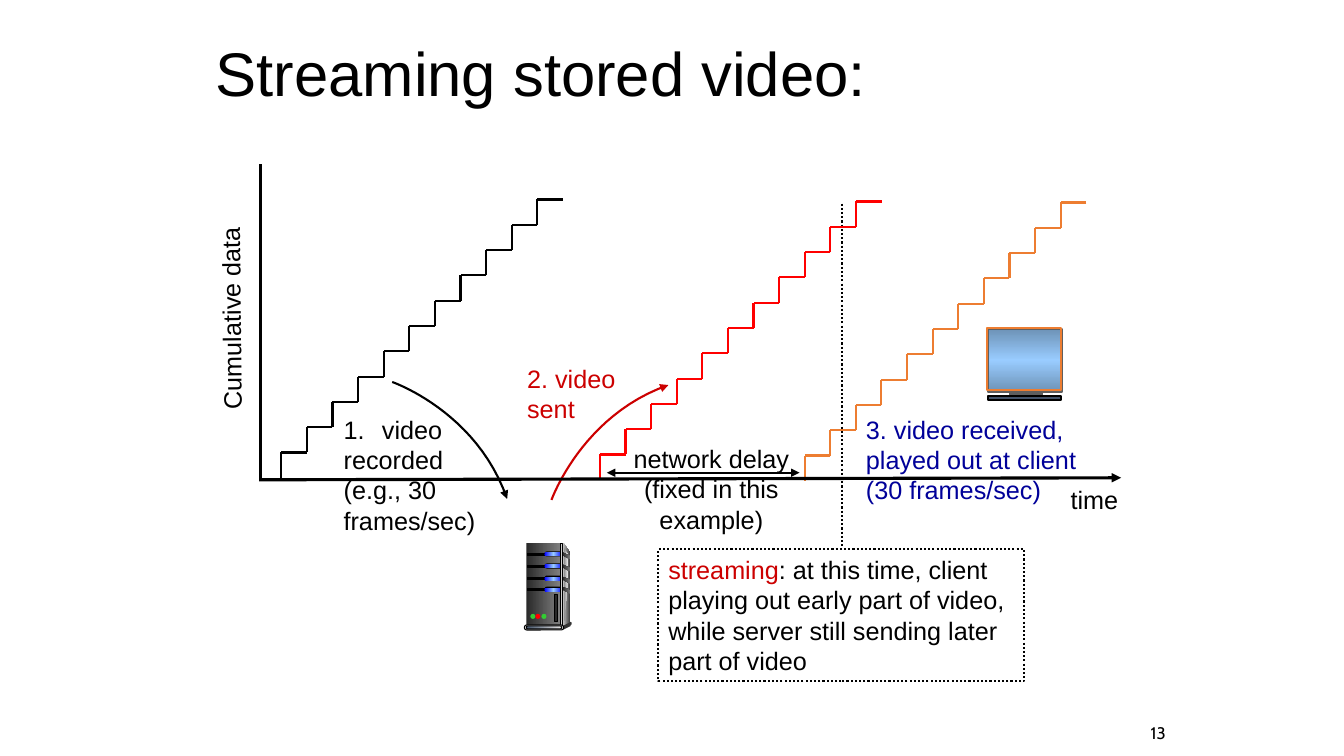
from copy import deepcopy
from lxml.etree import SubElement
from pptx import Presentation
from pptx.dml.color import RGBColor
from pptx.enum.dml import MSO_LINE
from pptx.enum.shapes import MSO_CONNECTOR, MSO_SHAPE
from pptx.enum.text import MSO_ANCHOR, PP_ALIGN
from pptx.oxml.ns import qn
from pptx.util import Inches, Pt

BLACK = RGBColor(0x00, 0x00, 0x00)
WHITE = RGBColor(0xFF, 0xFF, 0xFF)
RED = RGBColor(0xFF, 0x00, 0x00)
BRICK = RGBColor(0xCC, 0x00, 0x00)
ORANGE = RGBColor(0xED, 0x7D, 0x31)
NAVY = RGBColor(0x00, 0x00, 0x99)
BLUE = RGBColor(0x00, 0x00, 0xFF)
SKY = RGBColor(0x99, 0xCC, 0xFF)
STEEL = RGBColor(0x6D, 0x92, 0xB6)
SLATE = RGBColor(0x44, 0x54, 0x6A)
GREEN = RGBColor(0x33, 0xCC, 0x33)
INK = RGBColor(0x29, 0x29, 0x29)
COAL = RGBColor(0x33, 0x33, 0x33)
ASH = RGBColor(0x5F, 0x5F, 0x5F)
GREY = RGBColor(0x80, 0x80, 0x80)
SILVER = RGBColor(0xDD, 0xDD, 0xDD)
PALE = RGBColor(0xE7, 0xE6, 0xE6)
FROST = RGBColor(0xF8, 0xF8, 0xF8)

RECT, ROUND, OVAL = MSO_SHAPE.RECTANGLE, MSO_SHAPE.ROUNDED_RECTANGLE, MSO_SHAPE.OVAL


class Board:
    font = "Arial"
    size = 18

    def __init__(self, deck):
        self.slide = deck.slides.add_slide(deck.slide_layouts[6])
        self.shapes = self.slide.shapes

    def paint(self, shape, fill=None, line=None, weight=0.75, angle=0):
        shape.shadow.inherit = False
        if fill is None:
            shape.fill.background()
        elif isinstance(fill, list):
            self.blend(shape, fill, angle)
        else:
            shape.fill.solid()
            shape.fill.fore_color.rgb = fill
        if line is None:
            shape.line.fill.background()
        else:
            shape.line.color.rgb = line
            shape.line.width = Pt(weight)
        return shape

    def blend(self, shape, tones, angle):
        shape.fill.gradient()
        shape.fill.gradient_angle = angle
        stops = shape.element.find(".//" + qn("a:gsLst"))
        while len(stops) < len(tones):
            stops.append(deepcopy(stops[0]))
        for i, (stop, tone) in enumerate(zip(shape.fill.gradient_stops, tones)):
            stop.position = i / (len(tones) - 1)
            stop.color.rgb = tone

    def block(self, kind, x, y, w, h, fill=None, line=None, weight=0.75, angle=0):
        shape = self.shapes.add_shape(kind, Inches(x), Inches(y), Inches(w), Inches(h))
        if kind == ROUND:
            shape.adjustments[0] = 0.5
        return self.paint(shape, fill, line, weight, angle)

    def trace(self, points, fill=None, line=None, weight=0.75, close=True):
        points = [(Inches(x), Inches(y)) for x, y in points]
        form = self.shapes.build_freeform(*points[0])
        form.add_line_segments(points[1:], close=close)
        return self.paint(form.convert_to_shape(), fill, line, weight)

    def tip(self, shape, *ends):
        line = shape.element.find(".//" + qn("a:ln"))
        for end in ends:
            SubElement(line, qn("a:" + end), type="triangle")

    def arc(self, start, bend, end, color):
        points = []
        for i in range(25):
            t = i / 24
            u = 1 - t
            points.append(tuple(
                (u ** 3 + 3 * u * u * t) * a + 3 * u * t * t * b + t ** 3 * c
                for a, b, c in zip(start, bend, end)))
        self.tip(self.trace(points, line=color, weight=1.5, close=False), "tailEnd")

    def line(self, x1, y1, x2, y2, color=BLACK, weight=1.5, ends=(), dots=False):
        link = self.shapes.add_connector(
            MSO_CONNECTOR.STRAIGHT, Inches(x1), Inches(y1), Inches(x2), Inches(y2))
        link.line.color.rgb = color
        link.line.width = Pt(weight)
        if dots:
            link.line.dash_style = MSO_LINE.ROUND_DOT
        self.tip(link, *ends)
        SubElement(link.element.spPr, qn("a:effectLst"))

    def stairs(self, x, y, color):
        run, rise = 2.54 / 10, 2.51 / 10
        for i in range(11):
            left, low = x + i * run, y - i * rise
            self.line(left, low - rise, left, low, color)
            self.line(left + run, low - rise, left, low - rise, color)

    def label(self, shape, lines, color=BLACK, size=None, font=None, wrap=True,
              align=PP_ALIGN.LEFT, anchor=MSO_ANCHOR.TOP):
        frame = shape.text_frame
        frame.text = "\n".join(lines)
        frame.word_wrap = wrap
        frame.vertical_anchor = anchor
        for para in frame.paragraphs:
            para.alignment = align
            for run in para.runs:
                self.style(run, color, size, font)
        return frame

    def style(self, run, color, size=None, font=None):
        run.font.name = font or self.font
        run.font.size = Pt(size or self.size)
        run.font.color.rgb = color

    def text(self, x, y, w, h, *lines, **looks):
        box = self.shapes.add_textbox(Inches(x), Inches(y), Inches(w), Inches(h))
        self.label(box, lines, **looks)
        return box

    def server(self):
        self.trace([(5.59, 5.39), (5.66, 5.49), (5.66, 6.18), (5.57, 6.21)], [SILVER, COAL])
        self.block(RECT, 5.22, 5.39, 0.34, 0.82, [INK, GREY])
        self.trace([(5.59, 5.44), (5.64, 5.51), (5.62, 5.9), (5.59, 6.19)], [GREY, FROST])
        for y in (5.48, 5.6, 5.72, 5.83):
            self.block(RECT, 5.23, y + 0.01, 0.19, 0.02, BLACK, BLACK)
            self.block(ROUND, 5.4, y - 0.01, 0.19, 0.05, BLACK)
            self.block(ROUND, 5.4, y, 0.18, 0.04, [BLUE, SKY, BLUE])
        self.block(RECT, 5.56, 5.39, 0.02, 0.82, [COAL, SILVER, COAL], BLACK)
        for y in (5.48, 5.6, 5.72, 5.82):
            self.trace([(5.58, y), (5.66, y + 0.04), (5.66, y + 0.07), (5.58, y + 0.03)],
                       [INK, GREY])
        self.block(OVAL, 5.65, 6.17, 0.02, 0.03, COAL)
        self.trace([(5.58, 6.21), (5.58, 6.25), (5.66, 6.21), (5.66, 6.17)], COAL)
        self.block(ROUND, 5.2, 6.2, 0.39, 0.05, SILVER, BLACK)
        self.block(ROUND, 5.22, 6.21, 0.35, 0.03, [SLATE, PALE], BLACK)
        for x, color in ((5.26, GREEN), (5.31, RED), (5.37, GREEN)):
            self.block(OVAL, x, 6.09, 0.05, 0.05, color)
        self.block(RECT, 5.5, 5.9, 0.03, 0.27, INK, BLACK)

    def screen(self):
        self.block(RECT, 9.8, 3.26, 0.73, 0.63, [STEEL, SKY, STEEL], ASH, 1.5, 90)
        self.block(RECT, 10.02, 3.88, 0.31, 0.04, ASH, ASH, 1.5)
        self.block(RECT, 9.8, 3.93, 0.72, 0.04, SLATE, BLACK, 1.5)
        self.block(RECT, 9.79, 3.25, 0.73, 0.62, None, ORANGE, 1.5)


def main():
    deck = Presentation()
    deck.slide_width, deck.slide_height = Inches(13.33), Inches(7.5)
    board = Board(deck)
    board.server()

    title = board.text(2.04, 0.13, 8.5, 1.25, "Streaming stored video:",
                       size=44, anchor=MSO_ANCHOR.MIDDLE)
    title.text_frame.paragraphs[0].line_spacing = 0.9

    board.line(2.58, 1.63, 2.58, 4.75, weight=2.25)
    board.arc((3.89, 3.79), (4.73, 4.08), (5.03, 4.95), BLACK)
    first = board.text(3.31, 4.06, 1.82, 1.31, "video", "recorded (e.g., 30 frames/sec)")
    props = first.text_frame.paragraphs[0]._p.get_or_add_pPr()
    props.set("marL", str(Inches(0.38)))
    props.set("indent", str(-Inches(0.38)))
    SubElement(props, qn("a:buAutoNum"), type="arabicPeriod")
    board.stairs(2.79, 4.74, BLACK)

    board.arc((5.47, 4.96), (5.77, 4.12), (6.63, 3.82), BRICK)
    board.text(5.13, 3.55, 1.09, 0.71, "2. video", "sent", color=BRICK, wrap=False)
    board.text(1.22, 2.89, 2.14, 0.4, "Cumulative data").rotation = 269.4

    board.line(8.35, 2.02, 8.35, 5.43, dots=True)
    note = board.block(RECT, 6.53, 5.45, 3.63, 1.31, None, BLACK, 1.5)
    note.line.dash_style = MSO_LINE.ROUND_DOT
    frame = board.label(note, ["streaming", "playing out early part of video,",
                               "while server still sending later", "part of video"], wrap=False)
    lead = frame.paragraphs[0]
    board.style(lead.runs[0], BRICK)
    rest = lead.add_run()
    rest.text = ": at this time, client"
    board.style(rest, BLACK)

    delay = board.block(RECT, 6.15, 4.35, 1.81, 1.01, WHITE)
    board.label(delay, ["network delay", "(fixed in this example)"], align=PP_ALIGN.CENTER)
    board.line(6.02, 4.69, 7.93, 4.69, ends=("headEnd", "tailEnd"))
    board.text(10.52, 4.76, 0.68, 0.4, "time", wrap=False)

    board.stairs(5.95, 4.76, RED)
    board.stairs(7.98, 4.77, ORANGE)
    board.text(8.49, 4.06, 2.82, 1.01, "3. video received,", "played out at client",
               "(30 frames/sec)", color=NAVY)
    board.screen()
    board.line(11.12, 4.74, 2.57, 4.76, weight=2.25, ends=("headEnd",))
    board.text(10.91, 7.12, 0.75, 0.3, "13", size=12, font="Cabin",
               align=PP_ALIGN.RIGHT, anchor=MSO_ANCHOR.MIDDLE)
    deck.save("out.pptx")


if __name__ == "__main__":
    main()
